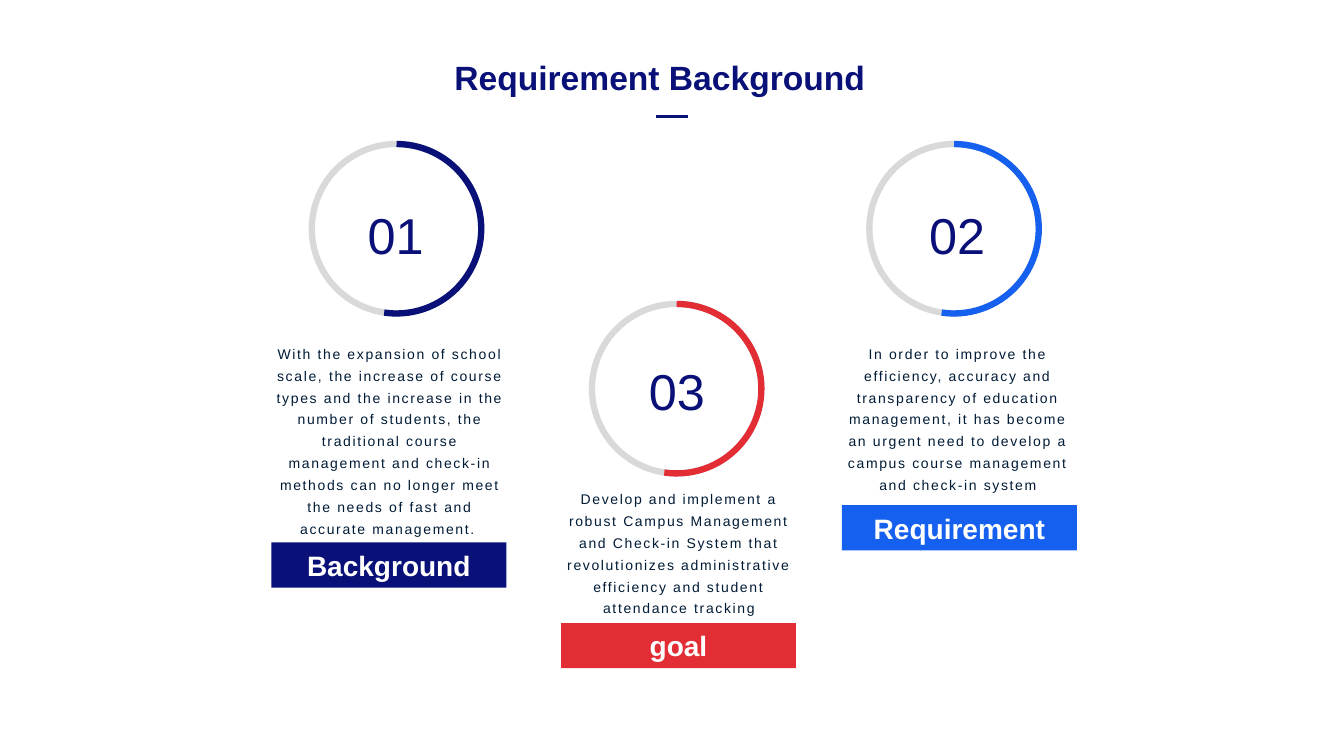
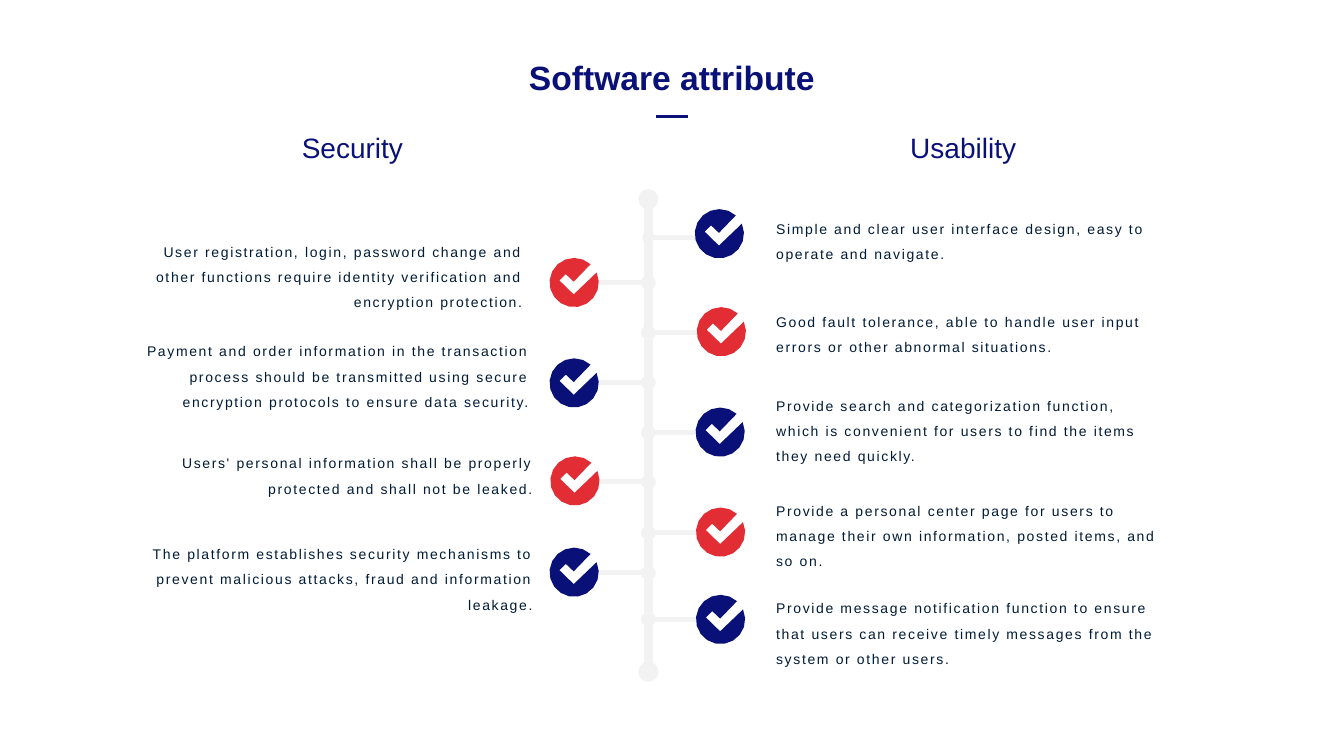
"""Build two slides: the requirement background and the software attributes."""
import math

from lxml import etree
from pptx import Presentation
from pptx import util as u
from pptx.dml.color import RGBColor
from pptx.enum import shapes, text
from pptx.oxml import ns

COLORS = {"navy": "091077", "blue": "1560EE", "red": "E22D35", "ink": "001B36",
          "track": "D9D9D9", "spine": "F2F2F2", "white": "FFFFFF"}
FONT = "Arial"
ALIGN = text.PP_ALIGN
SHAPE = shapes.MSO_SHAPE

# number, label, colour, ring (x, y), number (x, y), body (x, y, height), label (x, y), body text
TOPICS = [
    ("01", "Background", "navy", (7.86, 3.63), (7.86, 5.03), (6.68, 8.45, 5.26), (6.84, 13.67),
     "With the expansion of school scale, the increase of course types and the increase in the "
     "number of students, the traditional course management and check-in methods can no longer "
     "meet the needs of fast and accurate management. "),
    ("02", "Requirement", "blue", (21.91, 3.63), (22.01, 5.03), (20.99, 8.45, 4.14),
     (21.22, 12.73),
     "In order to improve the efficiency, accuracy and transparency of education management, it "
     "has become an urgent need to develop a campus course management and check-in system"),
    ("03", "goal", "red", (14.92, 7.66), (14.95, 8.94), (13.96, 12.11, 3.58), (14.14, 15.7),
     "Develop and implement a robust Campus Management and Check-in System that revolutionizes "
     "administrative efficiency and student attendance tracking"),
]

HEADINGS = [("Security", 7.36, 3.05), ("Usability", 22.68, 3.18)]

# colour, check (x, y), branch y, node width, text (x, centre y, height), text
SECURITY = [
    ("red", (14.47, 7.12), 7.12, 0.35, (3.25, 6.87, 2.24),
     "User registration, login, password change and other functions require identity "
     "verification and encryption protection."),
    ("navy", (14.47, 9.65), 9.64, 0.35, (3.41, 9.38, 2.24),
     "Payment and order information in the transaction process should be transmitted using "
     "secure encryption protocols to ensure data security."),
    ("red", (14.49, 12.12), 12.14, 0.35, (3.51, 11.89, 2.24),
     "Users' personal information shall be properly protected and shall not be leaked."),
    ("navy", (14.47, 14.42), 14.43, 0.35, (3.51, 14.49, 2.24),
     "The platform establishes security mechanisms to prevent malicious attacks, fraud and "
     "information leakage."),
]
USABILITY = [
    ("navy", (18.13, 5.89), 5.99, 0.28, (19.31, 5.97, 1.73),
     "Simple and clear user interface design, easy to operate and navigate."),
    ("red", (18.18, 8.36), 8.38, 0.35, (19.31, 8.32, 1.5),
     "Good fault tolerance, able to handle user input errors or other abnormal situations."),
    ("navy", (18.15, 10.89), 10.9, 0.35, (19.31, 10.75, 2.24),
     "Provide search and categorization function, which is convenient for users to find the "
     "items they need quickly."),
    ("red", (18.16, 13.41), 13.43, 0.35, (19.31, 13.4, 2.24),
     "Provide a personal center page for users to manage their own information, posted items, "
     "and so on."),
    ("navy", (18.16, 15.61), 15.61, 0.35, (19.31, 15.86, 2.24),
     "Provide message notification function to ensure that users can receive timely messages "
     "from the system or other users."),
]
# branch x, branch width, alignment, rows
SIDES = [(15.09, 1.14, ALIGN.RIGHT, SECURITY), (16.45, 1.1, ALIGN.LEFT, USABILITY)]
SPINE_X, SPINE_TOP, SPINE_BOTTOM = 16.34, 5.02, 16.93
CHECK_RADIUS = 0.62
TICK = [(-0.01, 0.3), (-0.37, -0.05), (-0.21, -0.21), (-0.01, -0.02)]


def rgb(name):
    return RGBColor.from_string(COLORS[name])


def box(*lengths):
    return [u.Cm(length) for length in lengths]


def write(shape, words, size, color, align=ALIGN.CENTER, bold=False, leading=None, spacing=None):
    frame = shape.text_frame
    frame.text = words
    frame.word_wrap = True
    frame.auto_size = text.MSO_AUTO_SIZE.NONE
    paragraph = frame.paragraphs[0]
    paragraph.alignment = align
    paragraph.line_spacing = leading
    font = paragraph.font
    font.name, font.size, font.bold = FONT, u.Pt(size), bold
    font.color.rgb = rgb(color)
    if spacing:
        paragraph.runs[0]._r.get_or_add_rPr().set("spc", str(spacing))
    return frame


def add_text(slide, place, words, size, color, **style):
    return write(slide.shapes.add_textbox(*box(*place)), words, size, color, **style)


def paint(shape, fill=None, outline=None, width=0.75):
    shape.shadow.inherit = False
    if fill:
        shape.fill.solid()
        shape.fill.fore_color.rgb = rgb(fill)
    else:
        shape.fill.background()
    if outline:
        shape.line.color.rgb = rgb(outline)
        shape.line.width = u.Pt(width)
    else:
        shape.line.fill.background()


def add_slide(deck, heading, left, width):
    slide = deck.slides.add_slide(deck.slide_layouts[5])
    title = slide.shapes.title
    title.left, title.top, title.width, title.height = box(left, 1.3, width, 1.27)
    frame = write(title, heading, 24, "navy", bold=True)
    frame.vertical_anchor = text.MSO_ANCHOR.TOP
    dash = slide.shapes.add_connector(
        shapes.MSO_CONNECTOR.STRAIGHT, *box(16.54, 2.94, 17.35, 2.94))
    dash.line.color.rgb = rgb("navy")
    dash.line.width = u.Pt(2.5)
    etree.SubElement(dash._element.spPr, ns.qn("a:effectLst"))
    return slide


def add_ring(slide, x, y, color):
    for tone, start, end in [("track", 6.75, 0), (color, 162, 59.04)]:
        arc = slide.shapes.add_shape(SHAPE.ARC, *box(x, y, 4.27, 4.27))
        arc.adjustments[0], arc.adjustments[1] = start, end
        paint(arc, outline=tone, width=4.5)


def add_spine_part(slide, kind, x, y, width, height):
    part = slide.shapes.add_shape(kind, *box(x - width / 2, y - height / 2, width, height))
    paint(part, "spine", "spine")


def add_check(slide, x, y, color):
    rim = [(CHECK_RADIUS * math.cos(math.radians(angle)),
            CHECK_RADIUS * math.sin(math.radians(angle))) for angle in range(-48, -385, -21)]
    outline = [box(x + dx, y + dy) for dx, dy in TICK + rim]
    builder = slide.shapes.build_freeform(*outline[0])
    builder.add_line_segments(outline[1:], close=True)
    paint(builder.convert_to_shape(), color)


def build_background(deck):
    slide = add_slide(deck, "Requirement Background", 10.48, 12.29)
    for number, label, color, ring, digits, (x, y, height), band_at, body in TOPICS:
        band = slide.shapes.add_shape(SHAPE.RECTANGLE, *box(*band_at, 5.92, 1.14))
        paint(band, color)
        write(band, label, 20, "white", bold=True)
        add_text(slide, (x, y, 6.3, height), body, 10, "ink", leading=1.3, spacing=120)
        add_ring(slide, *ring, color)
        add_text(slide, (*digits, 4.22, 1.8), number, 36, "navy")


def build_attributes(deck):
    slide = add_slide(deck, "Software attribute", 12.88, 8.1)
    for heading, x, width in HEADINGS:
        frame = add_text(slide, (x, 2.95, width, 1.32), heading, 20, "navy",
                         align=ALIGN.RIGHT, leading=1.25)
        frame.word_wrap = False
        frame.paragraphs[0].space_after = u.Pt(8)
    add_spine_part(slide, SHAPE.RECTANGLE, SPINE_X, (SPINE_TOP + SPINE_BOTTOM) / 2,
                   0.2, SPINE_BOTTOM - SPINE_TOP)
    for end_y in (SPINE_TOP, SPINE_BOTTOM):
        add_spine_part(slide, SHAPE.OVAL, SPINE_X, end_y, 0.48, 0.48)
    for branch_x, reach, align, rows in SIDES:
        for color, check, branch_y, node, (x, middle, height), words in rows:
            add_spine_part(slide, SHAPE.RECTANGLE, branch_x + reach / 2, branch_y, reach, 0.1)
            add_spine_part(slide, SHAPE.OVAL, SPINE_X, branch_y, node, node - 0.02)
            add_check(slide, *check, color)
            frame = add_text(slide, (x, middle - height / 2, 10.16, height), words, 10, "ink",
                             align=align, leading=1.5, spacing=120)
            frame.vertical_anchor = text.MSO_ANCHOR.MIDDLE


deck = Presentation()
deck.slide_width, deck.slide_height = box(33.87, 19.05)
build_background(deck)
build_attributes(deck)
deck.save("out.pptx")
